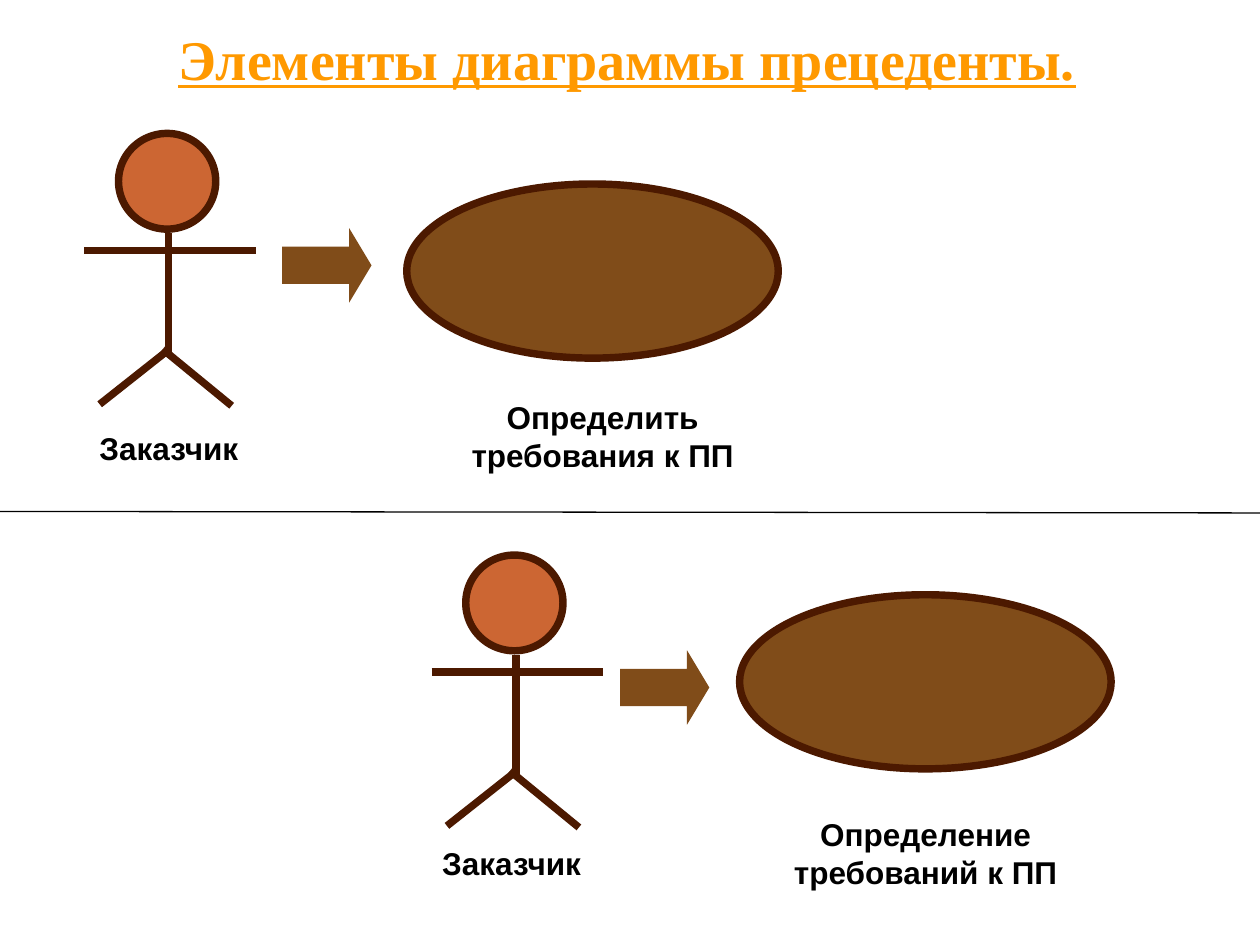
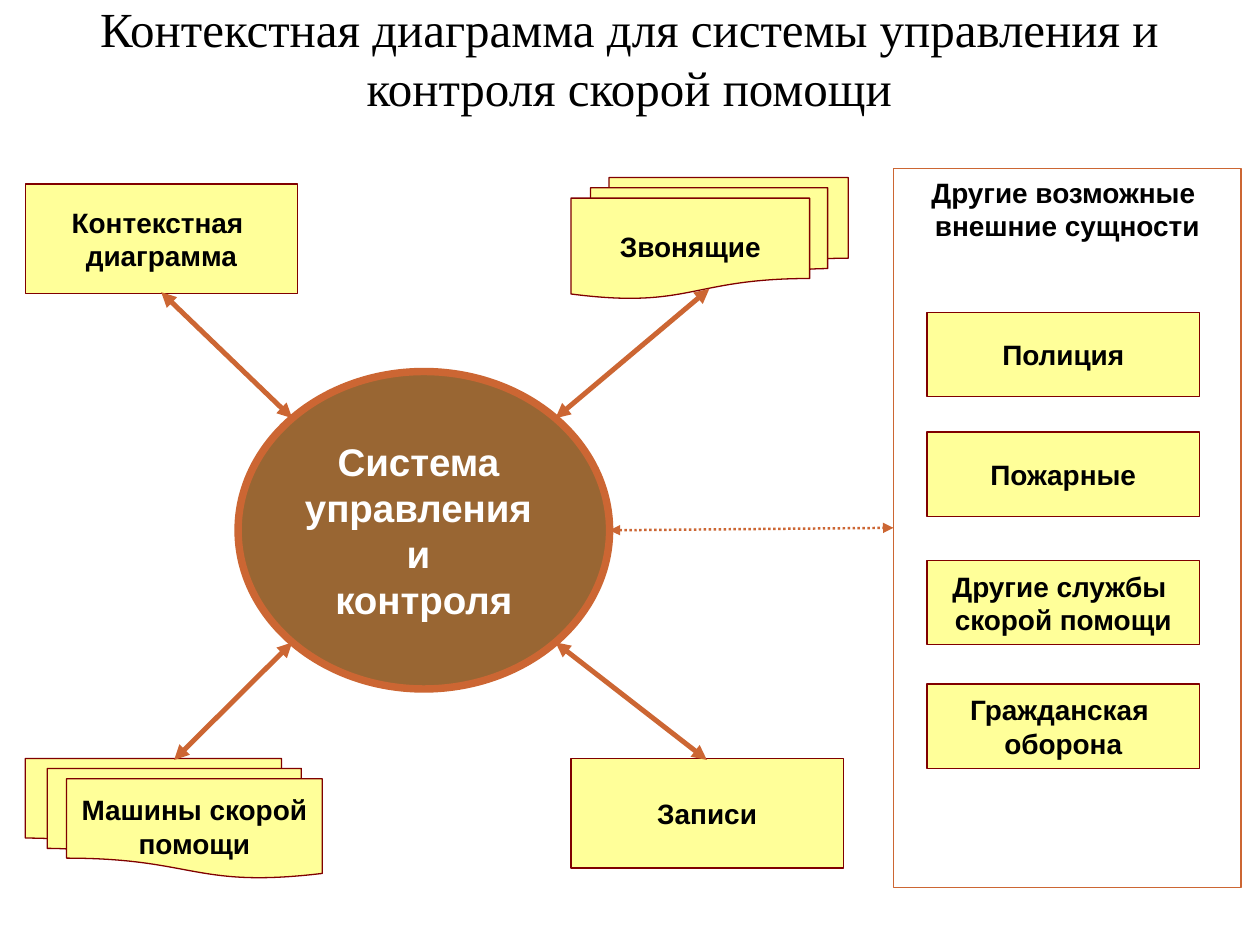
"""Build two slides: use case diagram elements and an ambulance context diagram."""
from lxml.etree import SubElement
from pptx import Presentation
from pptx.dml.color import RGBColor
from pptx.enum.dml import MSO_LINE
from pptx.enum.shapes import MSO_CONNECTOR, MSO_SHAPE as PRESET
from pptx.enum.text import MSO_ANCHOR as ANCHOR, PP_ALIGN
from pptx.oxml.ns import qn
from pptx.util import Cm, Pt

BLACK = RGBColor(0x00, 0x00, 0x00)
WHITE = RGBColor(0xFF, 0xFF, 0xFF)
ORANGE = RGBColor(0xFF, 0x99, 0x00)
TERRACOTTA = RGBColor(0xCC, 0x66, 0x33)
DARK_BROWN = RGBColor(0x4C, 0x19, 0x00)
BROWN = RGBColor(0x80, 0x4C, 0x19)
LIGHT_BROWN = RGBColor(0x99, 0x66, 0x33)
YELLOW = RGBColor(0xFF, 0xFF, 0x99)
MAROON = RGBColor(0x80, 0x00, 0x00)
HEAVY, MEDIUM, DOTTED, THIN = 4.25, 2.83, 1.42, 0.75


def draw(shapes, preset, place, fill=None, outline=None, weight=THIN):
    shape = shapes.add_shape(preset, *map(Cm, place))
    shape.shadow.inherit = False
    for paint, color in ((shape.fill, fill), (shape.line.fill, outline)):
        if color is None:
            paint.background()
        else:
            paint.solid()
            paint.fore_color.rgb = color
    if outline is not None:
        shape.line.width = Pt(weight)
    return shape


def write(shape, text, size, color=BLACK, font="Arial", bold=True, underline=False,
          anchor=ANCHOR.MIDDLE, wrap=True, insets=(0.25, 0.13)):
    frame = shape.text_frame
    frame.text = text
    frame.word_wrap = wrap
    frame.vertical_anchor = anchor
    frame.margin_left = frame.margin_right = Cm(insets[0])
    frame.margin_top = frame.margin_bottom = Cm(insets[1])
    for paragraph in frame.paragraphs:
        paragraph.alignment = PP_ALIGN.CENTER
        for run in paragraph.runs:
            run.font.name = font
            run.font.size = Pt(size)
            run.font.bold = bold
            run.font.underline = underline
            run.font.color.rgb = color


deck = Presentation()
deck.slide_width, deck.slide_height = Cm(25.4), Cm(19.05)
blank = deck.slide_layouts[6]
elements = deck.slides.add_slide(blank).shapes
context = deck.slides.add_slide(blank).shapes
strokes = []

heading = draw(elements, PRESET.RECTANGLE, (0.2, 0.36, 24.89, 1.63), WHITE)
write(heading, "Элементы диаграммы прецеденты.", 32, ORANGE, "Times New Roman",
      underline=True, anchor=ANCHOR.TOP)

limbs = [
    (1.7, 5.05, 5.16, 5.05),
    (3.4, 4.7, 3.4, 7.11),
    (2.01, 8.15, 3.35, 7.09),
    (4.67, 8.18, 3.28, 7.04),
]
use_cases = [
    ((0, 0), (5.69, 4.6), (8.2, 3.71), (0.61, 8.51),
     "Определить требования к ПП", (8.81, 7.9)),
    ((7, 8.5), (12.5, 13.11), (14.91, 11.99), (7.52, 16.89),
     "Определение требований к ПП", (15.32, 16.31)),
]
for (dx, dy), arrow_at, oval_at, role_at, action, action_at in use_cases:
    actor = elements.add_group_shape().shapes
    draw(actor, PRESET.OVAL, (2.39 + dx, 2.69 + dy, 1.96, 1.93),
         TERRACOTTA, DARK_BROWN, HEAVY)
    for x1, y1, x2, y2 in limbs:
        strokes.append((actor, (x1 + dx, y1 + dy, x2 + dx, y2 + dy),
                        DARK_BROWN, HEAVY, False))
    draw(elements, PRESET.OVAL, (*oval_at, 7.49, 3.51), BROWN, DARK_BROWN, HEAVY)
    arrow = draw(elements, PRESET.RIGHT_ARROW, (*arrow_at, 1.8, 1.5), BROWN)
    arrow.adjustments[0], arrow.adjustments[1] = 0.5, 0.3
    for caption, place in (("Заказчик", (*role_at, 5.59, 1.02)),
                           (action, (*action_at, 6.68, 1.78))):
        label = elements.add_textbox(*map(Cm, place))
        write(label, caption, 18, anchor=ANCHOR.TOP)
strokes.append((elements, (0, 10.31, 25.4, 10.34), BLACK, THIN, False))

heading = context.add_textbox(*map(Cm, (1.27, -0.3, 22.83, 2.9)))
write(heading, "Контекстная диаграмма для системы управления и контроля скорой помощи",
      28, font="Times New Roman", bold=False)

vehicles = draw(context, PRESET.FLOWCHART_MULTIDOCUMENT, (0.51, 15.29, 5.99, 2.41),
                YELLOW, MAROON)
vehicles.element.spPr.find(qn("a:xfrm")).set("flipH", "1")
callers = draw(context, PRESET.FLOWCHART_MULTIDOCUMENT, (11.51, 3.58, 5.59, 2.44),
               YELLOW, MAROON)
write(vehicles, "Машины скорой помощи", 16, insets=(0.05, 0.13))
write(callers, "Звонящие", 16, insets=(0.05, 0.13))

others = draw(context, PRESET.RECTANGLE, (18.01, 3.4, 7.01, 14.5), None, TERRACOTTA)
write(others, "Другие возможные \nвнешние сущности", 16, anchor=ANCHOR.TOP, wrap=False)

system = draw(context, PRESET.OVAL, (4.8, 7.49, 7.49, 6.4), LIGHT_BROWN, TERRACOTTA, HEAVY)
write(system, "Система \nуправления \nи \nконтроля", 22, WHITE, wrap=False,
      insets=(0.33, 0.2))

entities = [
    ("Полиция", 18.69, 6.3, 1.7),
    ("Пожарные", 18.69, 8.71, 1.7),
    ("Другие службы \vскорой помощи", 18.69, 11.3, 1.7),
    ("Гражданская \vоборона", 18.69, 13.79, 1.7),
    ("Записи", 11.51, 15.29, 2.21),
    ("Контекстная \vдиаграмма", 0.51, 3.71, 2.21),
]
for name, left, top, height in entities:
    entity = draw(context, PRESET.RECTANGLE, (left, top, 5.49, height), YELLOW, MAROON)
    write(entity, name, 16, wrap=False)

flows = [
    (5.89, 12.95, 3.51, 15.32),
    (11.2, 12.95, 14.25, 15.32),
    (14.3, 5.82, 11.2, 8.43),
    (3.25, 5.89, 5.89, 8.43),
]
for ends in flows:
    strokes.append((context, ends, TERRACOTTA, MEDIUM, True))
strokes.append((context, (12.29, 10.69, 18.01, 10.64), TERRACOTTA, DOTTED, True))

for shapes, ends, color, weight, two_way in strokes:
    stroke = shapes.add_connector(MSO_CONNECTOR.STRAIGHT, *map(Cm, ends))
    stroke.line.color.rgb = color
    stroke.line.width = Pt(weight)
    if weight == DOTTED:
        stroke.line.dash_style = MSO_LINE.ROUND_DOT
    properties = stroke.element.spPr
    if two_way:
        for end in ("a:headEnd", "a:tailEnd"):
            SubElement(properties.find(qn("a:ln")), qn(end), type="triangle")
    SubElement(properties, qn("a:effectLst"))

deck.save("out.pptx")
